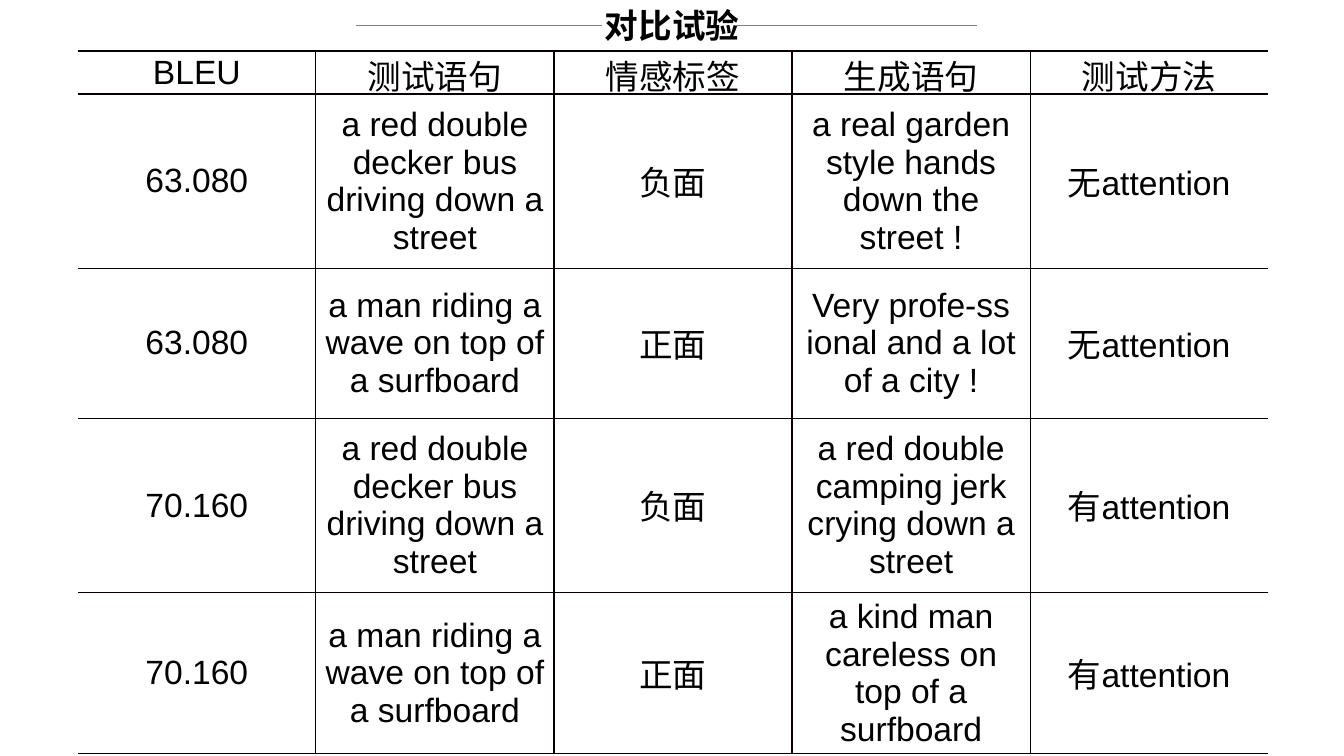
from pptx import Presentation
from pptx.dml.color import RGBColor as RGB
from pptx.enum.shapes import MSO_CONNECTOR as Link
from pptx.enum.text import MSO_ANCHOR as Anchor, MSO_AUTO_SIZE as Fit, PP_ALIGN as Align
from pptx.oxml.ns import qn
from pptx.util import Cm, Pt
from lxml.etree import SubElement as Sub

HUES = {"text": "000000", "rule": "808080", "grid": "080000"}
TITLE = {"name": "Calibri", "size": Pt(24), "bold": True}
BODY = {"name": "Arial", "size": Pt(24), "bold": False}
CELL = {"margin_left": Cm(0.18), "margin_right": Cm(0.18), "margin_top": 0,
        "margin_bottom": 0, "vertical_anchor": Anchor.MIDDLE}
FRAME = {"word_wrap": False, "auto_size": Fit.SHAPE_TO_FIT_TEXT}
PLAIN = {"first_row": False, "horz_banding": False}

BUS = "a red double decker bus driving down a street"
SURF = "a man riding a wave on top of a surfboard"
TESTS = [
    ("BLEU", "测试语句", "情感标签", "生成语句", "测试方法"),
    ("63.080", BUS, "负面", "a real garden style hands down the street !", "无attention"),
    ("63.080", SURF, "正面", "Very profe-ss ional and a lot of a city !", "无attention"),
    ("70.160", BUS, "负面", "a red double camping jerk crying down a street", "有attention"),
    ("70.160", SURF, "正面", "a kind man careless on top of a surfboard", "有attention"),
]
HEIGHTS = [1.09, 4.39, 3.78, 4.39, 4.06]
WIDTH = 6.0


def apply(item, style):
    for key, value in style.items():
        setattr(item, key, value)


class Page:
    """Holds the slide and draws each kind of element in its style."""

    def __init__(self, deck):
        self.slide = deck.slides.add_slide(deck.slide_layouts[6])
        self.shapes = self.slide.shapes

    def label(self, frame, text, style):
        para = frame.paragraphs[0]
        para.alignment = Align.CENTER
        run = para.add_run()
        run.text = text
        apply(run.font, style)
        run.font.color.rgb = RGB.from_string(HUES["text"])

    def title(self, text, left, top, width, height):
        box = self.shapes.add_textbox(Cm(left), Cm(top), Cm(width), Cm(height))
        apply(box.text_frame, FRAME)
        self.label(box.text_frame, text, TITLE)

    def rule(self, start, end, y):
        line = self.shapes.add_connector(Link.STRAIGHT, Cm(start), Cm(y), Cm(end), Cm(y))
        line.line.color.rgb = RGB.from_string(HUES["rule"])
        line.line.width = Pt(0.5)
        Sub(line._element.spPr, qn("a:effectLst"))

    def edge(self, cell, side, width):
        """Draw one cell border; a width of 0 hides it."""
        line = Sub(cell._tc.get_or_add_tcPr(), qn(f"a:ln{side}"), w=str(int(Pt(width))))
        if width:
            fill = Sub(line, qn("a:solidFill"))
            Sub(fill, qn("a:srgbClr"), val=HUES["grid"])
        else:
            Sub(line, qn("a:noFill"))

    def table(self, rows, left, top, width, heights):
        count = len(rows[0])
        grid = self.shapes.add_table(len(rows), count, Cm(left), Cm(top),
                                     Cm(width * count), Cm(sum(heights))).table
        apply(grid, PLAIN)
        for col in grid.columns:
            col.width = Cm(width)
        for r, (row, height) in enumerate(zip(rows, heights)):
            grid.rows[r].height = Cm(height)
            for c, text in enumerate(row):
                cell = grid.cell(r, c)
                apply(cell, CELL)
                self.label(cell.text_frame, text, BODY)
                edges = {"L": int(c > 0), "R": int(c < count - 1),
                         "T": 1 if r else 1.5, "B": 1}
                for side, weight in edges.items():
                    self.edge(cell, side, weight)
                cell.fill.background()


def main():
    deck = Presentation()
    deck.slide_width, deck.slide_height = Cm(33.87), Cm(19.05)
    page = Page(deck)
    page.title("对比试验", 14.96, 0, 3.96, 1.27)
    for start, end in [(8.97, 15.16), (18.54, 24.61)]:
        page.rule(start, end, 0.64)
    page.table(TESTS, 1.96, 1.28, WIDTH, HEIGHTS)
    deck.save("out.pptx")


if __name__ == "__main__":
    main()
